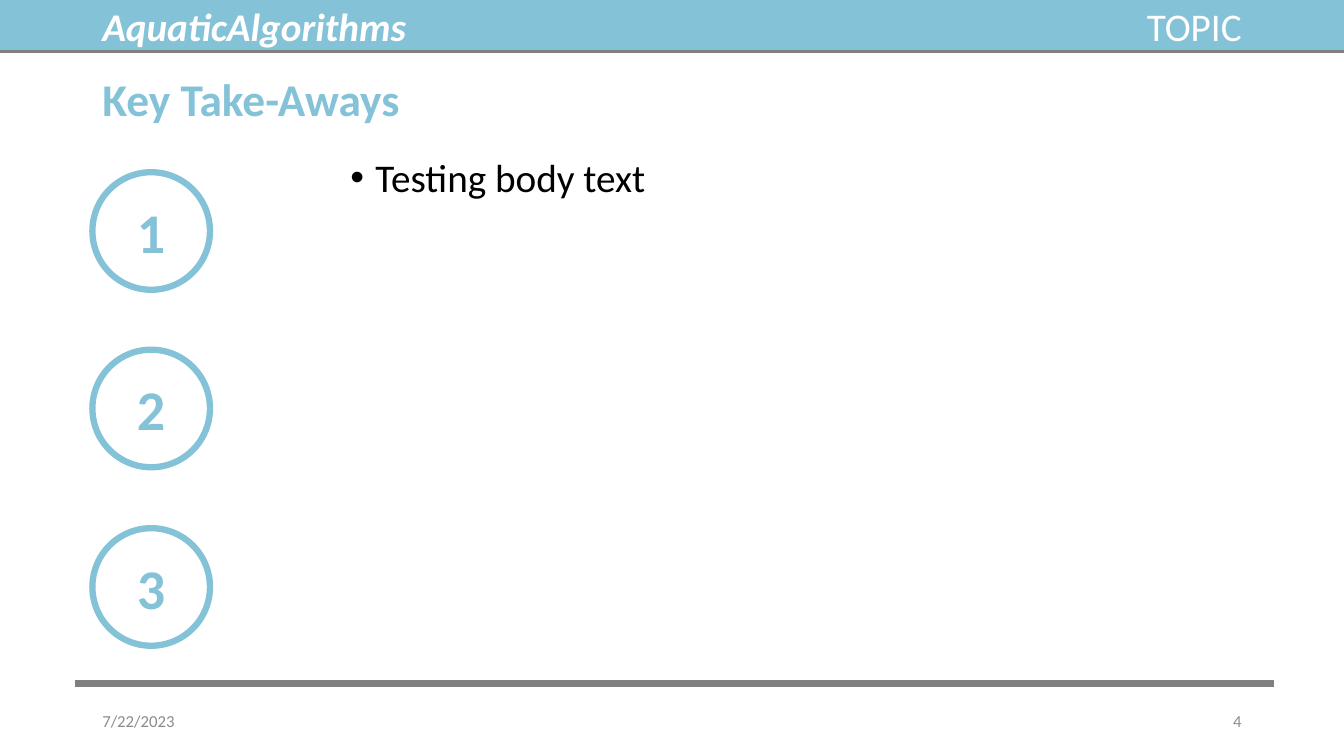
from pptx import Presentation
from pptx.dml.color import RGBColor
from pptx.enum.shapes import MSO_CONNECTOR as Link, MSO_SHAPE as Shape
from pptx.enum.text import MSO_ANCHOR as Anchor, MSO_AUTO_SIZE as Fit, PP_ALIGN as Align
from pptx.oxml.ns import qn
from pptx.util import Pt

PX = 9525
COLORS = {"aqua": "84C2D8", "gray": "808080", "mute": "8C8C8C", "white": "FFFFFF", "black": "000000"}


class Deck:
    font = "Calibri"

    def __init__(self, wide, high):
        self.prs = Presentation()
        self.prs.slide_width, self.prs.slide_height = wide * PX, high * PX
        self.slide = self.prs.slides.add_slide(self.prs.slide_layouts[1])
        self.shapes = self.slide.shapes

    def color(self, name):
        return RGBColor.from_string(COLORS[name])

    def letter(self, shape, text, size, color, align=Align.LEFT, anchor=Anchor.TOP, bold=False, slant=False):
        frame = shape.text_frame
        frame.text = text
        frame.word_wrap = True
        frame.auto_size = Fit.NONE
        frame.vertical_anchor = anchor
        para = frame.paragraphs[0]
        para.alignment = align
        font = para.runs[0].font
        font.name, font.size = self.font, Pt(size)
        font.bold, font.italic = bold, slant
        font.color.rgb = self.color(color)
        return para

    def hold(self, index, box, text, size, color, **look):
        shape = self.slide.placeholders[index]
        shape.left, shape.top, shape.width, shape.height = (n * PX for n in box)
        para = self.letter(shape, text, size, color, **look)
        para.line_spacing = 0.9
        return para

    def bullet(self, box, text, size, color):
        para = self.hold(1, box, text, size, color)
        para.space_before = Pt(10)
        props = para._p.get_or_add_pPr()
        props.set("marL", str(24 * PX))
        props.set("indent", str(-24 * PX))

    def label(self, box, text, size, color, **look):
        shape = self.shapes.add_textbox(*(n * PX for n in box))
        self.letter(shape, text, size, color, **look)

    def form(self, kind, box, line, fill=None):
        shape = self.shapes.add_shape(kind, *(n * PX for n in box))
        shape.shadow.inherit = False
        if fill:
            shape.fill.solid()
            shape.fill.fore_color.rgb = self.color(fill)
        else:
            shape.fill.background()
        shape.line.color.rgb = self.color("aqua")
        shape.line.width = Pt(line)
        return shape

    def badge(self, box, text):
        ring = self.form(Shape.OVAL, box, 4.5)
        self.letter(ring, text, 40, "aqua", align=Align.CENTER, anchor=Anchor.MIDDLE, bold=True)

    def rule(self, left, right, top, width):
        line = self.shapes.add_connector(Link.STRAIGHT, left * PX, top * PX, right * PX, top * PX)
        line.line.color.rgb = self.color("gray")
        line.line.width = Pt(width)
        props = line._element.spPr
        props.append(props.makeelement(qn("a:effectLst"), {}))


def main():
    deck = Deck(1280, 720)
    deck.form(Shape.RECTANGLE, (0, 0, 1280, 49), 1, "aqua")
    deck.label((88, -3, 580, 55), "AquaticAlgorithms", 28, "white", bold=True, slant=True)
    deck.label((612, -3, 580, 55), "TOPIC", 28, "white", align=Align.RIGHT)
    deck.rule(0, 1280, 49, 2.25)
    deck.rule(71, 1213, 651, 4.5)
    deck.hold(0, (88, 67, 1104, 59), "Key Take-Aways", 32.4, "aqua", anchor=Anchor.MIDDLE, bold=True)
    deck.bullet((324, 146, 868, 504), "Testing body text", 28, "black")
    deck.label((88, 667, 288, 38), "7/22/2023", 12, "mute", anchor=Anchor.MIDDLE)
    deck.label((904, 667, 288, 38), "4", 12, "mute", align=Align.RIGHT, anchor=Anchor.MIDDLE)
    for step in range(3):
        deck.badge((88, 164 + step * 339 // 2, 112, 112), str(step + 1))
    deck.prs.save("out.pptx")


if __name__ == "__main__":
    main()
